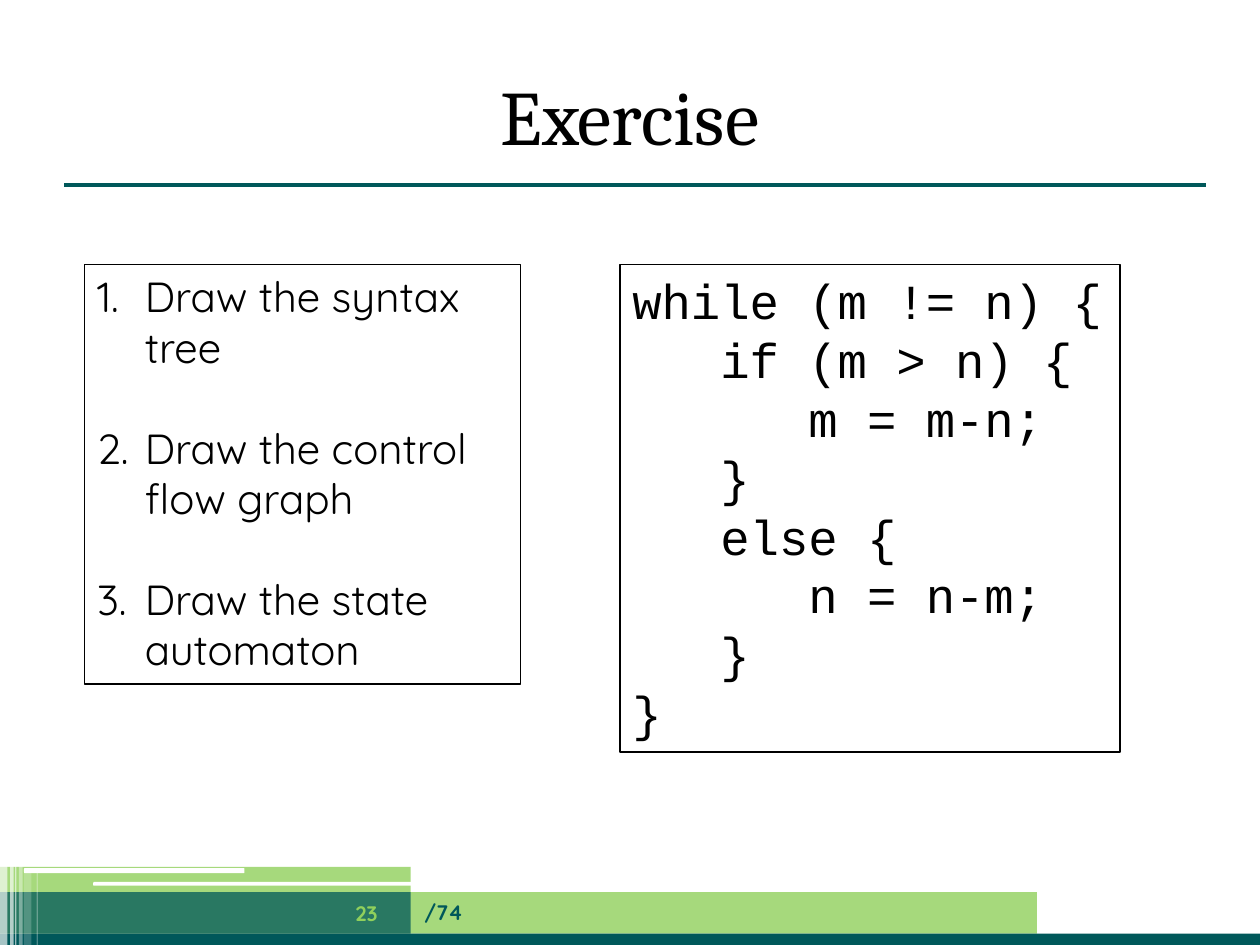
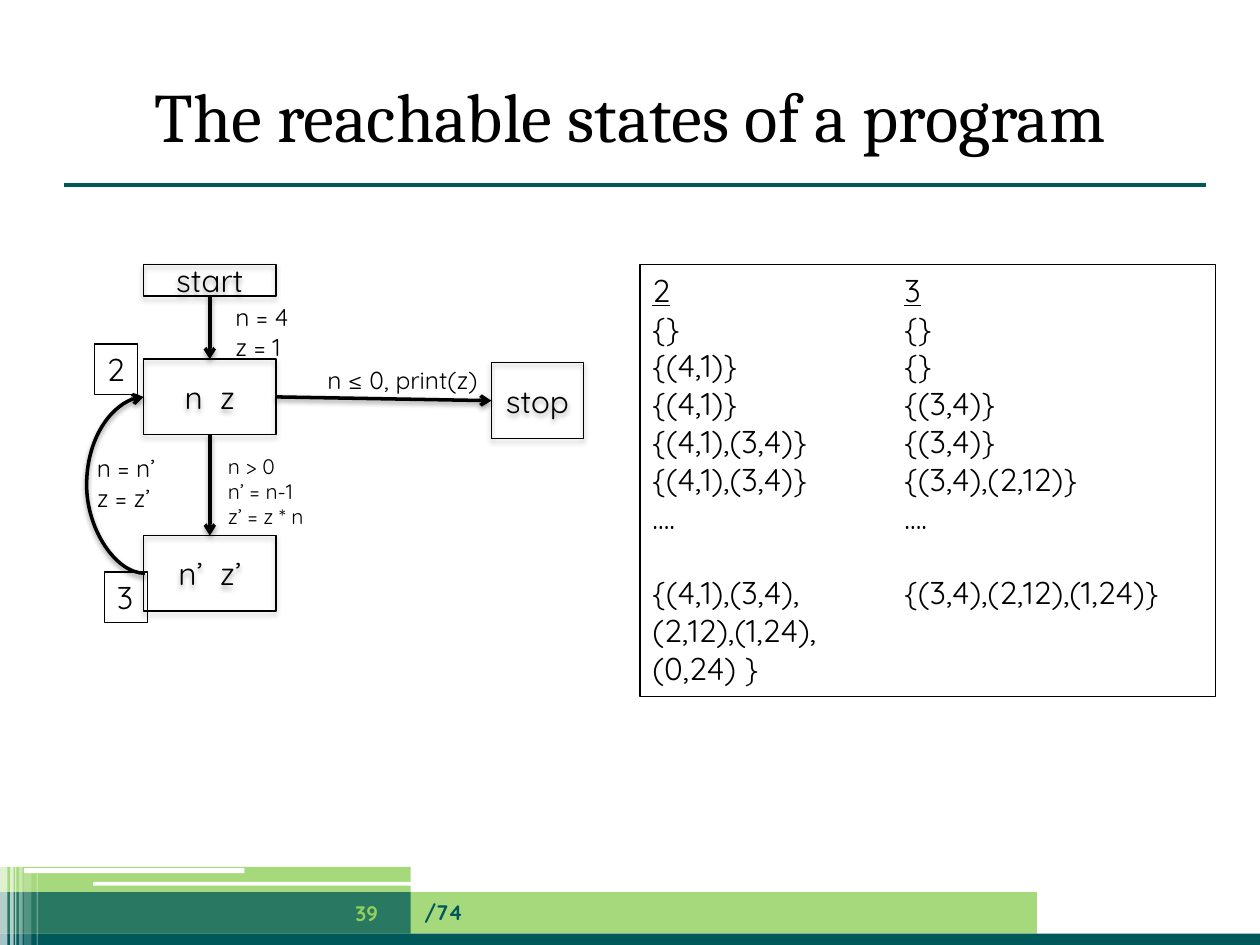
import pptx
import pptx.util
import pptx.dml.color
import pptx.enum.shapes
import pptx.enum.text
import pptx.oxml.ns
from lxml import etree

TEAL = pptx.dml.color.RGBColor(0x00, 0x58, 0x5A)
GREEN = pptx.dml.color.RGBColor(0x90, 0xD0, 0x5C)
WHITE = pptx.dml.color.RGBColor(0xFF, 0xFF, 0xFF)
BLACK = pptx.dml.color.RGBColor(0x00, 0x00, 0x00)

TITLE_FONT, CODE_FONT, TEXT_FONT = "Cambria", "Courier New", "Quicksand"
LINE_HEIGHT = 1.2  # line pitch of the text font, as a share of its size

# The slide is a grid of 10 columns by 7.5 rows of square cells.
COLUMNS, ROWS = 10, 7.5
CELL = pptx.util.Inches(1)
CONTENT_TOP = 2.1

RECTANGLE = pptx.enum.shapes.MSO_SHAPE.RECTANGLE
ROUNDED = pptx.enum.shapes.MSO_SHAPE.ROUNDED_RECTANGLE
STRAIGHT = pptx.enum.shapes.MSO_CONNECTOR.STRAIGHT
CURVE = pptx.enum.shapes.MSO_CONNECTOR.CURVE
LEFT = pptx.enum.text.PP_ALIGN.LEFT
CENTER = pptx.enum.text.PP_ALIGN.CENTER
TOP = pptx.enum.text.MSO_ANCHOR.TOP
MIDDLE = pptx.enum.text.MSO_ANCHOR.MIDDLE
GROW = pptx.enum.text.MSO_AUTO_SIZE.SHAPE_TO_FIT_TEXT
FIXED = pptx.enum.text.MSO_AUTO_SIZE.NONE
TOP_SIDE, LEFT_SIDE, BOTTOM_SIDE, RIGHT_SIDE = range(4)

CODE = """while (m != n) {
   if (m > n) {
      m = m-n;
   }
   else {
      n = n-m;
   }
}"""
TASKS = ["Draw the syntax tree", "Draw the control flow graph",
         "Draw the state automaton"]
REACHABLE_STATES = [
    ("2", "3"),
    ("{}", "{}"),
    ("{(4,1)}", "{}"),
    ("{(4,1)}", "{(3,4)}"),
    ("{(4,1),(3,4)}", "{(3,4)}"),
    ("{(4,1),(3,4)}", "{(3,4),(2,12)}"),
    ("....", "...."),
    ("{(4,1),(3,4),", "{(3,4),(2,12),(1,24)}"),
    ("(2,12),(1,24),",),
    ("(0,24) }",),
]


def qn(tag):
    return pptx.oxml.ns.qn(tag)


def cells(*lengths):
    return [round(length * CELL) for length in lengths]


def add_element(parent, tag, **attributes):
    return etree.SubElement(parent, qn(tag), attributes)


def place(shape, at):
    shape.left, shape.top, shape.width, shape.height = cells(*at)


def format_text(shape, size, font=TEXT_FONT, color=BLACK, bold=None,
                align=LEFT, anchor=TOP, wrap=True, fit=FIXED):
    frame = shape.text_frame
    frame.word_wrap, frame.auto_size, frame.vertical_anchor = wrap, fit, anchor
    for paragraph in frame.paragraphs:
        paragraph.alignment = align
        for run in paragraph.runs:
            run.font.name, run.font.size = font, pptx.util.Pt(size)
            run.font.bold, run.font.color.rgb = bold, color


def outline(shape):
    shape.line.color.rgb = BLACK
    shape.line.width = pptx.util.Pt(0.75)


def add_label(slide, at, text, size, **style):
    label = slide.shapes.add_textbox(*cells(*at))
    label.text_frame.text = text
    format_text(label, size, **style)
    return label


def add_outlined_box(slide, at, text, size, **style):
    box = slide.shapes.add_shape(RECTANGLE, *cells(*at))
    box.shadow.inherit = False
    box.fill.background()
    outline(box)
    box.text_frame.text = text
    format_text(box, size, **style)
    return box


def add_band(slide, at, color, opacity=100, preset=RECTANGLE):
    band = slide.shapes.add_shape(preset, *cells(*at))
    band.shadow.inherit = False
    band.line.fill.background()
    band.fill.solid()
    band.fill.fore_color.rgb = color
    if opacity < 100:
        color_element = band.element.spPr.find(".//" + qn("a:srgbClr"))
        add_element(color_element, "a:alpha", val=str(opacity * 1000))


def add_line(slide, ends, color, width, kind=STRAIGHT):
    line = slide.shapes.add_connector(kind, *cells(*ends))
    line.line.color.rgb = color
    line.line.width = pptx.util.Pt(width)
    add_element(line.element.spPr, "a:effectLst")
    return line


def cast_shadow(shape, opacity, distance):
    effects = shape.element.spPr.find(qn("a:effectLst"))
    shadow = add_element(
        effects, "a:outerShdw", blurRad=str(pptx.util.Pt(3.1)),
        dist=str(pptx.util.Pt(distance)), dir="5400000", rotWithShape="0")
    color = add_element(shadow, "a:srgbClr", val=str(BLACK))
    add_element(color, "a:alpha", val=str(opacity * 1000))


def add_state(slide, at, text):
    state = add_outlined_box(slide, at, text, 18, align=CENTER, anchor=MIDDLE)
    cast_shadow(state, 35, 1.8)
    return state


def add_transition(slide, source, source_side, target, target_side,
                   kind=STRAIGHT):
    arrow = add_line(slide, (0, 0, 1, 1), BLACK, 2, kind)
    add_element(arrow.element.spPr.find(qn("a:ln")), "a:tailEnd", type="arrow")
    cast_shadow(arrow, 38, 1.6)
    arrow.begin_connect(source, source_side)
    arrow.end_connect(target, target_side)
    return arrow


def bend_left(arrow, at, reach):
    """Bow an upward arrow to the left by reach times its width."""
    place(arrow, at)
    frame = arrow.element.spPr.find(qn("a:xfrm"))
    for flip in ("flipH", "flipV"):
        frame.attrib.pop(flip, None)
    frame.set("rot", "10800000")
    geometry = arrow.element.spPr.find(qn("a:prstGeom"))
    adjustments = geometry.find(qn("a:avLst"))
    if adjustments is None:
        adjustments = add_element(geometry, "a:avLst")
    add_element(adjustments, "a:gd", name="adj1", fmla=f"val {reach * 100000}")


def number_paragraphs(shape, gap):
    for index, paragraph in enumerate(shape.text_frame.paragraphs):
        properties = paragraph._p.get_or_add_pPr()
        indent = pptx.util.Inches(0.38)
        properties.set("marL", str(indent))
        properties.set("indent", str(-indent))
        add_element(properties, "a:buFont", typeface=TEXT_FONT)
        add_element(properties, "a:buAutoNum", type="arabicPeriod")
        paragraph.space_before = pptx.util.Pt(gap if index else 0)


def decorate_master(master, slide):
    """Draw the shared decoration on a slide, then move it to the master."""
    band_top, base_top, split = 7.08, 7.41, 3.26
    add_band(slide, (0, band_top, 8.23, 0.33), GREEN, 80)
    add_band(slide, (0, base_top, COLUMNS, ROWS - base_top), TEAL)
    add_band(slide, (0, band_top, split, 0.33), TEAL, 75)
    add_band(slide, (0, 6.88, split, 0.2), GREEN, 80)
    add_band(slide, (0.74, 7, 3.35, 0.03), WHITE, preset=ROUNDED)
    add_band(slide, (0.19, 6.89, 1.75, 0.04), WHITE, preset=ROUNDED)
    for left, top, width, opacity in [
            (0, 6.86, 0.06, 65), (0.08, 6.86, 0.03, 65), (0.12, 6.86, 0.01, 60),
            (0.15, 6.86, 0.03, 40), (0.19, 6.9, 0.06, 20), (0.29, 6.9, 0.01, 30)]:
        add_band(slide, (left, top, width, ROWS - top), WHITE, opacity)
    add_line(slide, (0.51, 1.47, 9.57, 1.47), TEAL, 2.25)
    add_label(slide, (3.27, 7.04, 4.96, 0.4), "/74", 12, color=TEAL, bold=True,
              anchor=MIDDLE)
    drawn = [shape for shape in slide.shapes if not shape.is_placeholder]
    for number, shape in enumerate(drawn, start=101):
        shape.element.find(".//" + qn("p:cNvPr")).set("id", str(number))
        master.shapes.element.append(shape.element)
    title = next(shape for shape in master.placeholders
                 if shape.placeholder_format.type
                 == pptx.enum.shapes.PP_PLACEHOLDER.TITLE)
    place(title, (0.5, 0.44, 9, 0.94))


def set_heading(slide, text, size, number):
    title = slide.shapes.title
    title.text_frame.text = text
    format_text(title, size, TITLE_FONT, align=CENTER, anchor=MIDDLE)
    add_label(slide, (2.56, 7.05, 0.7, 0.4), number, 12, color=GREEN,
              bold=True, align=CENTER, anchor=MIDDLE)


def fill_exercise(slide):
    set_heading(slide, "Exercise", 44, "23")
    add_outlined_box(slide, (4.92, CONTENT_TOP, 3.97, 3.87), CODE, 28,
                     font=CODE_FONT, wrap=False, fit=GROW)
    tasks = slide.placeholders[1]
    place(tasks, (0.67, CONTENT_TOP, 3.46, 3.33))
    outline(tasks)
    tasks.text_frame.text = "\n".join(TASKS)
    number_paragraphs(tasks, 24 * LINE_HEIGHT)
    format_text(tasks, 24)


def draw_automaton(slide):
    left, width, height = 1.14, 1.05, 0.6
    loop = add_state(slide, (left, 2.85, width, height), "n  z")
    body = add_state(slide, (left, 4.25, width, height), "n’  z’")
    stop = add_state(slide, (3.9, 2.88, 0.73, height), "stop")
    start = add_state(slide, (left, CONTENT_TOP, width, 0.25), "start")
    add_transition(slide, start, BOTTOM_SIDE, loop, TOP_SIDE)
    add_transition(slide, loop, BOTTOM_SIDE, body, TOP_SIDE)
    add_transition(slide, loop, RIGHT_SIDE, stop, LEFT_SIDE)
    back = add_transition(slide, body, LEFT_SIDE, loop, LEFT_SIDE, CURVE)
    bend_left(back, (left, 3.15, 0.01, 1.4), 47)
    for at, text, size in [
            ((1.77, 2.35, 0.66, 0.57), "n = 4\nz = 1", 14),
            ((1.71, 3.55, 0.87, 0.71), "n > 0\nn’ = n-1\nz’ = z * n", 12),
            ((0.67, 3.55, 0.74, 0.57), "n = n’\nz = z’", 14),
            ((2.5, 2.85, 1.4, 0.34), "n ≤ 0, print(z)", 14)]:
        add_label(slide, at, text, size, wrap=False, fit=GROW)
    for tag_left, tag_top, point in [(0.75, 2.73, "2"), (0.83, 4.54, "3")]:
        add_outlined_box(slide, (tag_left, tag_top, 0.34, 0.4), point, 18,
                         wrap=False, fit=GROW)


def list_reachable_states(slide):
    text = "\n".join("\t".join(row) for row in REACHABLE_STATES)
    box = add_outlined_box(slide, (5.08, CONTENT_TOP, 4.57, 3.43), text, 18)
    paragraphs = box.text_frame.paragraphs
    for paragraph in paragraphs:
        tabs = add_element(paragraph._p.get_or_add_pPr(), "a:tabLst")
        add_element(tabs, "a:tab", pos=str(2 * CELL), algn="l")
    for run in paragraphs[0].runs:
        run.font.underline = True
    fixpoint = paragraphs[7]
    fixpoint.space_before = pptx.util.Pt(18 * LINE_HEIGHT)


def main():
    presentation = pptx.Presentation()
    presentation.slide_width, presentation.slide_height = cells(COLUMNS, ROWS)
    layouts = presentation.slide_layouts
    exercise = presentation.slides.add_slide(layouts.get_by_name("Title and Content"))
    decorate_master(presentation.slide_master, exercise)
    fill_exercise(exercise)

    reachable = presentation.slides.add_slide(layouts.get_by_name("Title Only"))
    set_heading(reachable, "The reachable states of a program", 39.6, "39")
    draw_automaton(reachable)
    list_reachable_states(reachable)
    presentation.save("out.pptx")


if __name__ == "__main__":
    main()
